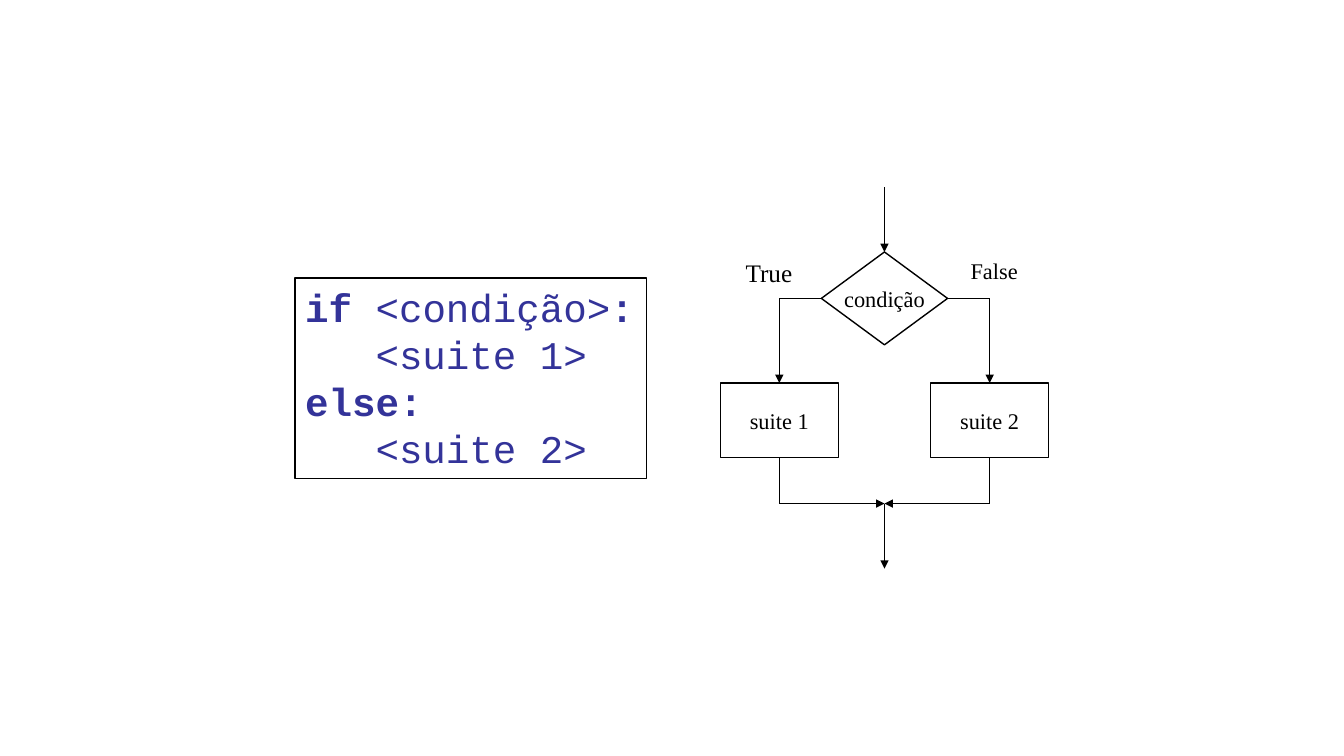
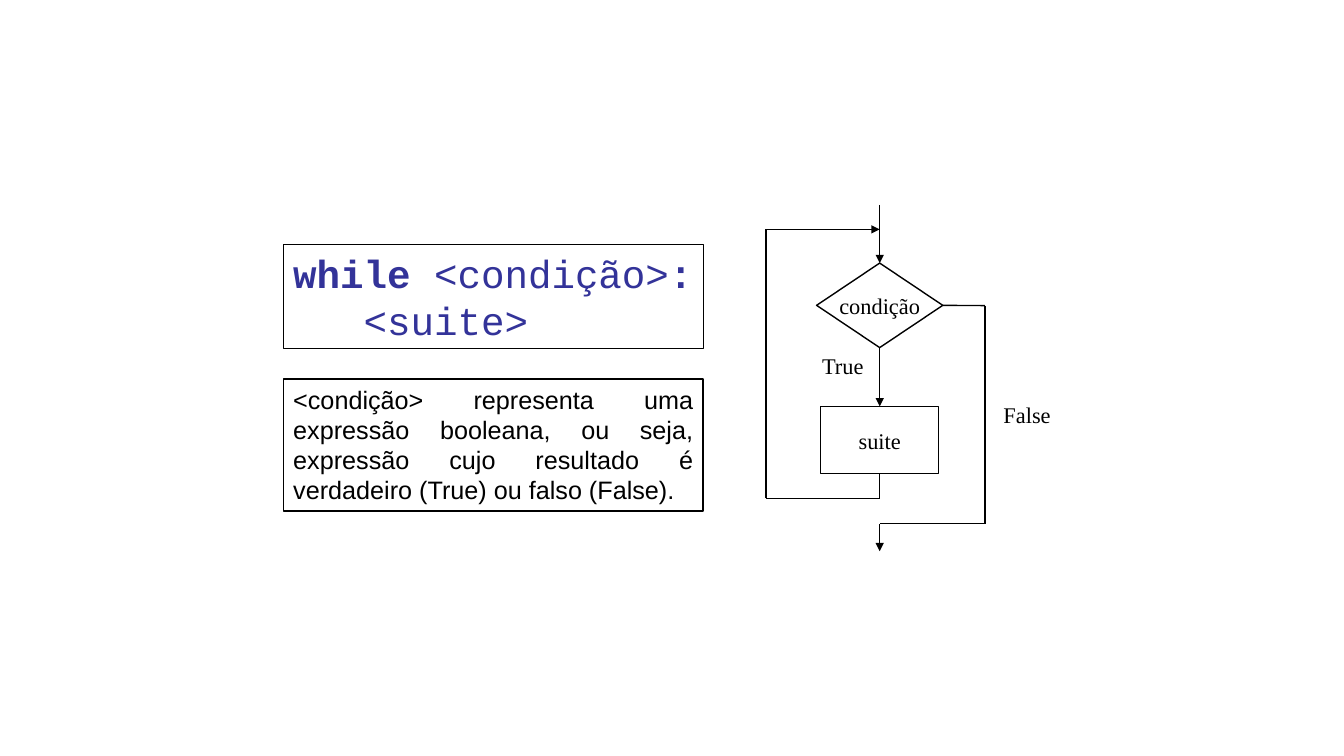
from itertools import pairwise

from lxml import etree
from pptx import Presentation
from pptx import util as u
from pptx.dml.color import RGBColor
from pptx.enum import shapes, text
from pptx.oxml.ns import qn

# Shared style
BLACK, CODE_BLUE = "000000", "333399"
SERIF, SANS, MONO = "Times New Roman", "Arial", "Courier New"
DECISION_WIDTH, PROCESS_WIDTH = 3.18, 2.97
TOP, LEFT, BOTTOM, RIGHT = range(4)


def colour(value):
    return RGBColor.from_string(value)


def add_span(para, words, font, size, tint=BLACK, bold=False):
    span = para.add_run()
    span.text = words
    span.font.name, span.font.size = font, u.Pt(size)
    span.font.bold = bold
    span.font.color.rgb = colour(tint)


def add_box(page, kind, left, top, width, height, line=1):
    """An outlined, unfilled shape with text starting at its top left."""
    box = page.shapes.add_shape(kind, *map(u.Cm, (left, top, width, height)))
    box.shadow.inherit = False
    box.fill.background()
    box.line.color.rgb = colour(BLACK)
    box.line.width = u.Pt(line)
    box.text_frame.word_wrap = True
    box.text_frame.vertical_anchor = text.MSO_ANCHOR.TOP
    box.text_frame.paragraphs[0].alignment = text.PP_ALIGN.LEFT
    return box


def add_node(page, kind, centre, top, width, height, words):
    """A flowchart step centred on a vertical axis."""
    node = add_box(page, kind, centre - width / 2, top, width, height)
    frame = node.text_frame
    frame.margin_left = frame.margin_right = 0
    frame.margin_top = frame.margin_bottom = 0
    frame.word_wrap = False
    frame.vertical_anchor = text.MSO_ANCHOR.MIDDLE
    frame.paragraphs[0].alignment = text.PP_ALIGN.CENTER
    add_span(frame.paragraphs[0], words, SERIF, 16)
    return node


def add_decision(page, centre, top, height):
    return add_node(page, shapes.MSO_SHAPE.FLOWCHART_DECISION, centre, top,
                    DECISION_WIDTH, height, "condição")


def add_process(page, centre, top, height, words):
    return add_node(page, shapes.MSO_SHAPE.FLOWCHART_PROCESS, centre, top,
                    PROCESS_WIDTH, height, words)


def add_label(page, left, top, words, size=16):
    box = page.shapes.add_textbox(*map(u.Cm, (left, top, 1.9, 0.94)))
    box.text_frame.word_wrap = True
    add_span(box.text_frame.paragraphs[0], words, SERIF, size)


def add_code(page, left, top, width, height, lines, line=1):
    """Code lines, each a list of (words, bold) pieces."""
    box = add_box(page, shapes.MSO_SHAPE.RECTANGLE, left, top, width, height, line)
    frame = box.text_frame
    frame.margin_right = 0
    for index, pieces in enumerate(lines):
        para = frame.add_paragraph() if index else frame.paragraphs[0]
        para.alignment = text.PP_ALIGN.LEFT
        for words, bold in pieces:
            add_span(para, words, MONO, 28, CODE_BLUE, bold)


def add_route(page, *points, start=None, end=None, arrow=True, width=1):
    """Straight segments through points; start and end are (node, side)."""
    points = [tuple(map(u.Cm, point)) for point in points]
    if start:
        points.insert(0, side_middle(*start))
    if end:
        points.append(side_middle(*end))
    segments = []
    for begin, finish in pairwise(points):
        segment = page.shapes.add_connector(
            shapes.MSO_CONNECTOR.STRAIGHT, *begin, *finish)
        segment.line.color.rgb = colour(BLACK)
        segment.line.width = u.Pt(width)
        etree.SubElement(segment._element.spPr, qn("a:effectLst"))
        segments.append(segment)
    if start:
        segments[0].begin_connect(*start)
    if end:
        segments[-1].end_connect(*end)
    if arrow:
        outline = segments[-1].line._get_or_add_ln()
        etree.SubElement(outline, qn("a:tailEnd"), type="triangle")


def side_middle(node, side):
    x, y = node.left + node.width // 2, node.top + node.height // 2
    return {TOP: (x, node.top), LEFT: (node.left, y),
            BOTTOM: (x, node.top + node.height),
            RIGHT: (node.left + node.width, y)}[side]


def build_if_else(page):
    axis, offset, branch_y, merge_y = 22.29, 2.65, 7.52, 12.69

    # Code
    add_code(page, 7.44, 7.01, 8.86, 5.05, [
        [("if ", True), ("<condição>", False), (":", True)],
        [("   <suite 1>", False)],
        [("else:", True)],
        [("   <suite 2>", False)],
    ])

    # Flowchart
    decision = add_decision(page, axis, 6.35, 2.34)
    add_route(page, (axis, 4.72), end=(decision, TOP))
    branches = (("suite 1", axis - offset, LEFT), ("suite 2", axis + offset, RIGHT))
    for words, x, side in branches:
        process = add_process(page, x, 9.65, 1.88, words)
        add_route(page, (x, branch_y), start=(decision, side), end=(process, TOP))
        add_route(page, (x, merge_y), (axis, merge_y), start=(process, BOTTOM))
    add_route(page, (axis, merge_y), (axis, 14.33))
    add_label(page, 18.54, 6.35, "True", 18)
    add_label(page, 24.21, 6.35, "False")


def build_while(page):
    axis, loop_x, exit_x = 22.17, 19.3, 24.82
    loop_top, loop_bottom, exit_y = 5.78, 12.56, 13.2
    left, width = 7.14, 10.58

    # Code and explanation
    add_code(page, left, 6.15, width, 2.64, [
        [("while", True), (" <condição>", False), (":", True)],
        [("   <suite>", False)],
    ], line=0.75)
    note = add_box(page, shapes.MSO_SHAPE.RECTANGLE, left, 9.55, width, 3.33)
    para = note.text_frame.paragraphs[0]
    para.alignment = text.PP_ALIGN.JUSTIFY
    add_span(para, "<condição> representa uma expressão booleana, ou seja, "
             "expressão cujo resultado é verdadeiro (True) ou falso (False).",
             SANS, 18)

    # Flowchart
    decision = add_decision(page, axis, 6.63, 2.13)
    process = add_process(page, axis, 10.24, 1.7, "suite")
    add_route(page, (axis, 5.16), end=(decision, TOP))
    add_route(page, start=(decision, BOTTOM), end=(process, TOP))
    add_route(page, (axis, loop_bottom), (loop_x, loop_bottom),
              (loop_x, loop_top), (axis, loop_top), start=(process, BOTTOM))
    add_route(page, (exit_x, 7.7), (exit_x, exit_y),
              start=(decision, RIGHT), arrow=False)
    add_route(page, (exit_x, exit_y), (axis, exit_y), (axis, 13.89), width=0.75)
    add_label(page, 20.47, 8.76, "True")
    add_label(page, 25.04, 9.98, "False")


def main():
    deck = Presentation()
    deck.slide_width, deck.slide_height = u.Cm(33.87), u.Cm(19.05)
    blank = deck.slide_layouts[6]
    for build in (build_if_else, build_while):
        build(deck.slides.add_slide(blank))
    deck.save("out.pptx")


if __name__ == "__main__":
    main()
